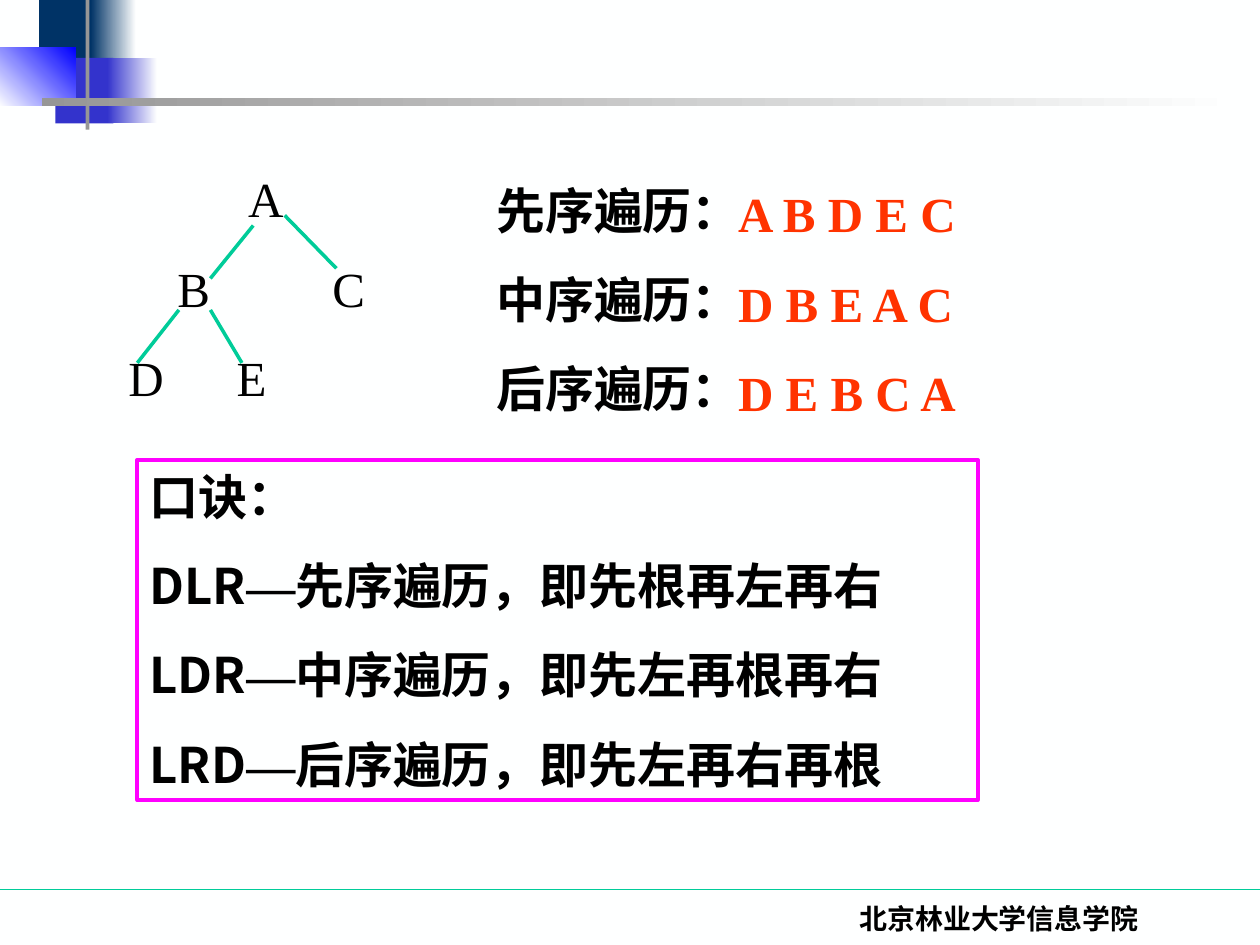
"""Build a slide on the three orders of walking a binary tree."""
import dataclasses

import pptx
import pptx.dml.color
import pptx.enum.shapes
import pptx.enum.text
import pptx.oxml
import pptx.util

ALIGN = pptx.enum.text.PP_ALIGN
RECT = pptx.enum.shapes.MSO_SHAPE.RECTANGLE


@dataclasses.dataclass(frozen=True)
class Theme:
    """Hold the colours, fonts and type sizes of the slide."""

    page: str = "FEFFFF"
    ink: str = "000000"
    green: str = "00CC99"
    navy: str = "003366"
    violet: str = "3333CC"
    blue: str = "0000FF"
    grey: str = "969696"
    red: str = "FF3300"
    pink: str = "FF00FF"
    serif: str = "Times New Roman"
    sans: str = "Noto Sans CJK SC"
    body: int = 28
    foot: int = 16
    lead: float = 33.6
    gap: float = 17.5


THEME = Theme()
COLS, ROWS = 100, 75
CELL = pptx.util.Inches(0.1)


def cells(*sizes):
    """Turn grid cells into slide lengths."""
    return [round(size * CELL) for size in sizes]


def tint(code):
    """Turn a hex code into a colour."""
    return pptx.dml.color.RGBColor.from_string(code)


def block(slide, place, *shades, angle=0):
    """Add a rectangle with no fill, a plain fill or a two-colour blend."""
    shape = slide.shapes.add_shape(RECT, *cells(*place))
    shape.shadow.inherit = False
    shape.line.fill.background()
    if len(shades) == 2:
        shape.fill.gradient()
        shape.fill.gradient_angle = angle
        for stop, shade, spot in zip(shape.fill.gradient_stops, shades, (0, 1)):
            stop.color.rgb = tint(shade)
            stop.position = spot
    elif shades:
        shape.fill.solid()
        shape.fill.fore_color.rgb = tint(shades[0])
    else:
        shape.fill.background()
    return shape


def link(slide, start, end, width):
    """Add a straight green line between two grid points."""
    kind = pptx.enum.shapes.MSO_CONNECTOR.STRAIGHT
    line = slide.shapes.add_connector(kind, *cells(*start, *end))
    line.line.color.rgb = tint(THEME.green)
    line.line.width = pptx.util.Pt(width)
    props = line._element.spPr
    props.append(pptx.oxml.parse_xml(
        '<a:effectLst xmlns:a="http://schemas.openxmlformats.org/drawingml/2006/main"/>'))


def tabs(para, stops):
    """Add left tab stops, given in cells, to a paragraph."""
    marks = "".join(f'<a:tab pos="{pos}" algn="l"/>' for pos in cells(*stops))
    para._p.get_or_add_pPr().append(pptx.oxml.parse_xml(
        '<a:tabLst xmlns:a="http://schemas.openxmlformats.org/drawingml/2006/main">'
        f"{marks}</a:tabLst>"))


def style(para, size, shade, bold, face=None):
    """Set the font shared by the runs of a paragraph."""
    font = para.font
    font.size = pptx.util.Pt(size)
    font.bold = bold
    font.color.rgb = tint(shade)
    if face:
        font.name = face


def paras(frame, count, align=ALIGN.LEFT):
    """Yield evenly spaced paragraphs of a text frame."""
    frame.word_wrap = True
    frame.vertical_anchor = pptx.enum.text.MSO_ANCHOR.TOP
    for row in range(count):
        para = frame.add_paragraph() if row else frame.paragraphs[0]
        para.alignment = align
        para.line_spacing = pptx.util.Pt(THEME.lead)
        para.space_before = pptx.util.Pt(THEME.gap if row else 0)
        yield para


def column(slide, place, lines, shade=THEME.ink, bold=True,
           align=ALIGN.LEFT, stops=()):
    """Add a text box with one paragraph a line."""
    frame = slide.shapes.add_textbox(*cells(*place)).text_frame
    rows = paras(frame, len(lines), align)
    for row, (para, line) in enumerate(zip(rows, lines)):
        if stops and stops[row]:
            tabs(para, stops[row])
        style(para, THEME.body, shade, bold, THEME.serif)
        para.add_run().text = line


def decor(slide):
    """Draw the corner blocks, the rules and the footer."""
    link(slide, (0, 70.6), (COLS, 70.6), 0.75)
    block(slide, (3.1, 0, 4.8, 5.2), THEME.navy)
    block(slide, (7.2, 0, 3.6, 5.2), THEME.navy, THEME.page)
    block(slide, (4.4, 4.6, 4.6, 5.2), THEME.violet)
    block(slide, (8.5, 4.6, 4, 5.2), THEME.violet, THEME.page)
    block(slide, (-0.1, 3.8, 6.1, 4.6), THEME.page, THEME.blue, angle=45)
    block(slide, (6.8, -1.2, 0.3, 11.5), THEME.grey)
    block(slide, (3.3, 7.8, 95.1, 0.6), THEME.grey, THEME.page)
    frame = slide.shapes.add_textbox(*cells(58.6, 71.1, 41.4, 5)).text_frame
    frame.word_wrap = True
    para = frame.paragraphs[0]
    para.alignment = ALIGN.CENTER
    style(para, THEME.foot, THEME.ink, True, THEME.serif)
    para.add_run().text = "北京林业大学信息学院"


def tree(slide):
    """Draw the binary tree with its nodes on tab stops."""
    column(slide, (9.2, 12.9, 27.5, 19.9), ("\tA", "\tB\tC", "D\tE"),
           bold=False, stops=((9.5,), (3.9, 16.2), (8.6,)))
    for start, end in (((20.1, 17.9), (16.7, 22.1)),
                       ((22.6, 17.1), (26.7, 21.3)),
                       ((16.7, 24.6), (19.2, 28.8)),
                       ((14.2, 24.6), (10.9, 28.8))):
        link(slide, start, end, 2)


def rules(slide):
    """Add the framed box with the memory rule for each order."""
    shape = block(slide, (10.9, 36.5, 66.7, 27))
    shape.line.color.rgb = tint(THEME.pink)
    shape.line.width = pptx.util.Pt(2.25)
    faces = (THEME.sans, THEME.serif, THEME.sans)
    lines = (("口诀：",),
             ("DLR", "—", "先序遍历，即先根再左再右"),
             ("LDR", "—", "中序遍历，即先左再根再右"),
             ("LRD", "—", "后序遍历，即先左再右再根"))
    for para, line in zip(paras(shape.text_frame, len(lines)), lines):
        style(para, THEME.body, THEME.ink, True)
        for text, face in zip(line, faces):
            run = para.add_run()
            run.text = text
            run.font.name = face


def main():
    """Build the slide and save it."""
    deck = pptx.Presentation()
    deck.slide_width, deck.slide_height = cells(COLS, ROWS)
    slide = deck.slides.add_slide(deck.slide_layouts[6])
    slide.background.fill.solid()
    slide.background.fill.fore_color.rgb = tint(THEME.page)
    decor(slide)
    column(slide, (38.4, 13.8, 22.3, 19.9),
           ("先序遍历：", "中序遍历：", "后序遍历："), align=ALIGN.JUSTIFY)
    tree(slide)
    column(slide, (57.6, 14.1, 20, 19.9),
           ("A B D E C", "D B E A C", "D E B C A"), THEME.red)
    rules(slide)
    deck.save("out.pptx")


if __name__ == "__main__":
    main()
